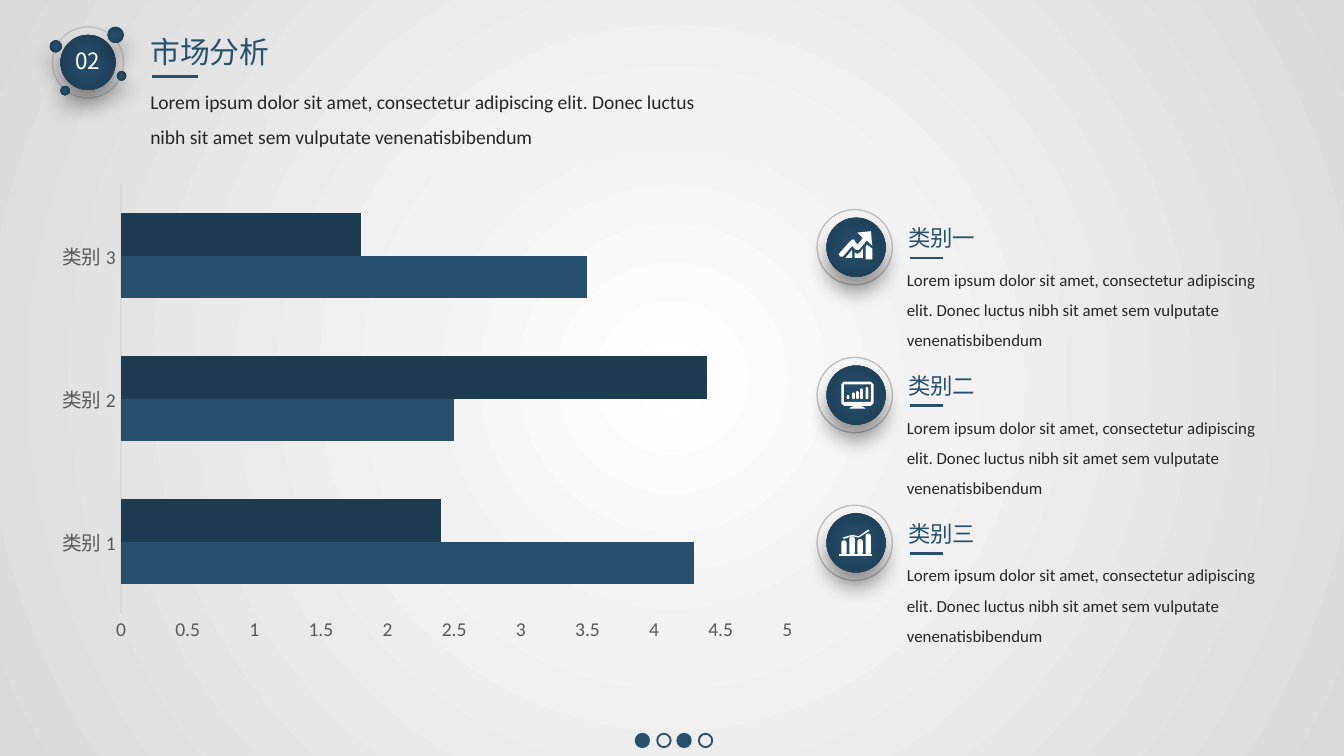
from typing import NamedTuple

from pptx import Presentation
from pptx.chart.data import CategoryChartData
from pptx.dml.color import RGBColor
from pptx.enum.chart import XL_CHART_TYPE, XL_TICK_MARK
from pptx.enum.shapes import MSO_CONNECTOR, MSO_SHAPE
from pptx.enum.text import MSO_AUTO_SIZE
from pptx.oxml import parse_xml
from pptx.oxml.ns import qn
from pptx.util import Pt

PX = 9144  # EMU in one px, 100 px to the inch
OVAL, BAR = MSO_SHAPE.OVAL, MSO_SHAPE.ROUNDED_RECTANGLE
LINE = MSO_CONNECTOR.STRAIGHT
BARS = XL_CHART_TYPE.BAR_CLUSTERED
NONE = XL_TICK_MARK.NONE
FIT = MSO_AUTO_SIZE.SHAPE_TO_FIT_TEXT

HEX = {"blue": "27506E", "navy": "1D3C52", "white": "FFFFFF", "ink": "262626",
       "axis": "595959", "rule": "D9D9D9", "rim": "BFBFBF", "pale": "F2F2F2",
       "black": "000000"}
CJK, LATIN = "Noto Sans CJK SC", "Calibri"
LOREM = ("Lorem ipsum dolor sit amet, consectetur adipiscing elit. "
         "Donec luctus nibh sit amet sem vulputate venenatisbibendum")
NS = 'xmlns:a="http://schemas.openxmlformats.org/drawingml/2006/main"'
Path = list[tuple[int, int]]


class Box(NamedTuple):
    x: int
    y: int
    w: int
    h: int

    def emu(self) -> list[int]:
        return [n * PX for n in self]


class Item(NamedTuple):
    label: str
    font: str
    icon: list[list[Path]]  # outlines, each of one or more closed paths
    bars: list[Box]


# Icon places are counted from the top left of the ring.
TREND = [
    [[(37, 26), (36, 28), (36, 37), (41, 37), (41, 29)]],
    [[(26, 27), (19, 35), (17, 35), (16, 33), (25, 23), (27, 22), (30, 26),
      (34, 21), (30, 17), (40, 16), (41, 27), (37, 23), (31, 30), (29, 30)]],
    [[(32, 32), (30, 33), (28, 32), (28, 36), (34, 36), (34, 29)]],
    [[(21, 36), (26, 36), (26, 30)]],
]
SCREEN = [[
    [(20, 18), (40, 18), (42, 20), (42, 34), (40, 36), (32, 36), (35, 37),
     (36, 38), (24, 38), (25, 37), (28, 36), (20, 36), (18, 34), (18, 20)],
    [(20, 20), (20, 33), (40, 33), (40, 20)],
]]
GRAPH = [
    [[(19, 24), (26, 22), (31, 23), (38, 18), (39, 19), (31, 24), (26, 23),
      (20, 25)]],
    [[(16, 36), (41, 36), (41, 38), (16, 38)]],
]
ITEMS = [
    Item("类别一", CJK, TREND, []),
    Item("类别二", CJK, SCREEN,
         [Box(x, y, 2, 31 - y)
          for x, y in zip((22, 26, 29, 32, 36), (28, 26, 25, 23, 22))]),
    Item("类别三", "Arial", GRAPH,
         [Box(18 + 6 * i, y, 4, 37 - y) for i, y in enumerate((26, 23, 25, 21))]),
]

deck = Presentation()
deck.slide_width = 1000 * PX
deck.slide_height = deck.slide_width * 9 // 16
slide = deck.slides.add_slide(deck.slide_layouts[6])
shapes = slide.shapes


def rgb(name: str) -> RGBColor:
    return RGBColor.from_string(HEX[name])


def blend(root, stops: dict[int, str]) -> None:
    """Swap the first solid fill under root for a radial gradient."""
    solid = root.find(".//" + qn("a:solidFill"))
    marks = "".join(f'<a:gs pos="{at * 1000}"><a:srgbClr val="{HEX[name]}"/></a:gs>'
                    for at, name in stops.items())
    grad = parse_xml(
        f'<a:gradFill {NS} rotWithShape="1"><a:gsLst>{marks}</a:gsLst>'
        '<a:path path="circle"><a:fillToRect l="50000" t="50000" r="50000" '
        'b="50000"/></a:path></a:gradFill>')
    solid.getparent().replace(solid, grad)


def cast(shape) -> None:
    """Add a soft shadow below the shape."""
    shape._element.spPr.find(qn("a:effectLst")).append(parse_xml(
        f'<a:outerShdw {NS} blurRad="{Pt(11)}" dist="{Pt(8)}" dir="5400000" '
        f'rotWithShape="0"><a:srgbClr val="{HEX["black"]}">'
        '<a:alpha val="40000"/></a:srgbClr></a:outerShdw>'))


def style(shape, fill: str = "", line: str = "", width: float = 1) -> None:
    shape.shadow.inherit = False
    if fill:
        shape.fill.solid()
        shape.fill.fore_color.rgb = rgb(fill)
    else:
        shape.fill.background()
    if line:
        shape.line.color.rgb = rgb(line)
        shape.line.width = Pt(width)
    else:
        shape.line.fill.background()


def ball(box: Box) -> None:
    shape = shapes.add_shape(OVAL, *box.emu())
    style(shape, "blue")
    blend(shape._element.spPr, {0: "blue", 100: "navy"})
    cast(shape)


def ring(box: Box) -> None:
    style(shapes.add_shape(OVAL, *box.emu()), line="rim", width=0.75)


def text(words: str, box: Box, *, size: float, color: str, font: str,
         wrap: bool = True, space: float = 1) -> None:
    frame = shapes.add_textbox(*box.emu()).text_frame
    frame.word_wrap, frame.auto_size = wrap, FIT
    para = frame.paragraphs[0]
    para.line_spacing = space
    run = para.add_run()
    run.text = words
    run.font.size, run.font.name = Pt(size), font
    run.font.color.rgb = rgb(color)
    run._r.get_or_add_rPr().append(parse_xml(f'<a:ea {NS} typeface="{CJK}"/>'))


def rule(x: int, y: int, end: int) -> None:
    line = shapes.add_connector(LINE, x * PX, y * PX, end * PX, y * PX)
    line.line.color.rgb, line.line.width = rgb("blue"), Pt(1.5)
    line._element.spPr.append(parse_xml(f'<a:effectLst {NS}/>'))


def draw(paths: list[Path], x: int, y: int) -> None:
    """Draw closed paths as one white outline, moved by x and y."""
    moved = [[(x + a, y + b) for a, b in path] for path in paths]
    pen = shapes.build_freeform(*moved[0][0], scale=PX)
    pen.add_line_segments(moved[0][1:], close=True)
    for path in moved[1:]:
        pen.move_to(*path[0])
        pen.add_line_segments(path[1:], close=True)
    style(pen.convert_to_shape(), "white")


def chart(box: Box) -> None:
    data = CategoryChartData()
    data.categories = ["类别 1", "类别 2", "类别 3"]
    data.add_series("Series 1", (4.3, 2.5, 3.5))
    data.add_series("Series 2", (2.4, 4.4, 1.8))
    graph = shapes.add_chart(BARS, *box.emu(), data).chart
    graph.has_legend = graph.has_title = False
    graph.font.size, graph.font.name = Pt(10), LATIN
    graph.font.color.rgb = rgb("black")
    plot = graph.plots[0]
    plot.gap_width, plot.overlap, plot.vary_by_categories = 138, 0, False
    for row, color in zip(plot.series, ("blue", "navy")):
        row.format.fill.solid()
        row.format.fill.fore_color.rgb = rgb(color)
    cats, vals = graph.category_axis, graph.value_axis
    for axis in (cats, vals):
        axis.has_major_gridlines = False
        axis.major_tick_mark = axis.minor_tick_mark = NONE
        font = axis.tick_labels.font
        font.size, font.name, font.color.rgb = Pt(10.5), LATIN, rgb("axis")
    cats.format.line.color.rgb, cats.format.line.width = rgb("rule"), Pt(0.75)
    vals.format.line.fill.background()
    vals.minimum_scale, vals.maximum_scale, vals.major_unit = 0, 5, 0.5


def entry(item: Item, y: int) -> None:
    x = 608
    ring(Box(x, y, 56, 56))
    ball(Box(x + 7, y + 6, 44, 44))
    text(LOREM, Box(665, y + 32, 297, 78), size=9, color="ink", font=LATIN, space=1.5)
    text(item.label, Box(666, y + 6, 190, 30), size=12, color="blue", font=item.font)
    rule(677, y + 36, 702)
    for paths in item.icon:
        draw(paths, x, y)
    for bar in item.bars:
        shape = shapes.add_shape(BAR, *bar._replace(x=x + bar.x, y=y + bar.y).emu())
        shape.adjustments[0] = 0.5
        style(shape, "white")


slide.background.fill.solid()
slide.background.fill.fore_color.rgb = rgb("white")
blend(slide._element, {0: "white", 35: "pale", 100: "rule"})

ring(Box(39, 20, 53, 53))
for x, y, d in ((45, 26, 41), (80, 20, 12), (37, 30, 9), (45, 64, 7), (87, 53, 7)):
    ball(Box(x, y, d, d))
for x, fill in zip((473, 489, 504, 520), ("blue", "") * 2):
    style(shapes.add_shape(OVAL, *Box(x, 546, 10, 10).emu()), fill, "blue")

text("市场分析", Box(102, 20, 110, 37), size=16, color="blue", font=CJK, wrap=False)
text(LOREM, Box(102, 53, 447, 60), size=10.5, color="ink", font=LATIN, space=1.5)
rule(113, 57, 147)
text("02", Box(46, 30, 41, 30), size=12, color="white", font=CJK, wrap=False)
chart(Box(35, 130, 566, 355))
for i, item in enumerate(ITEMS):
    entry(item, 156 + 110 * i)

deck.save("out.pptx")
